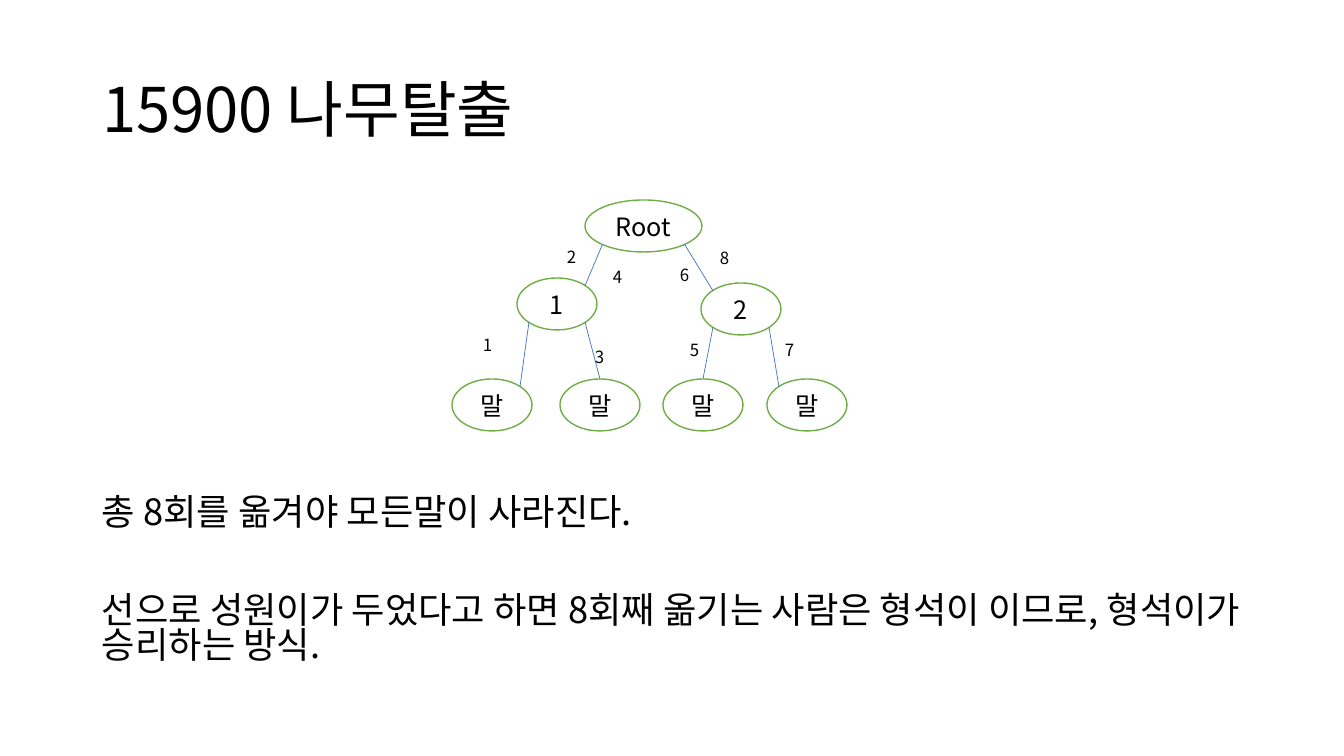
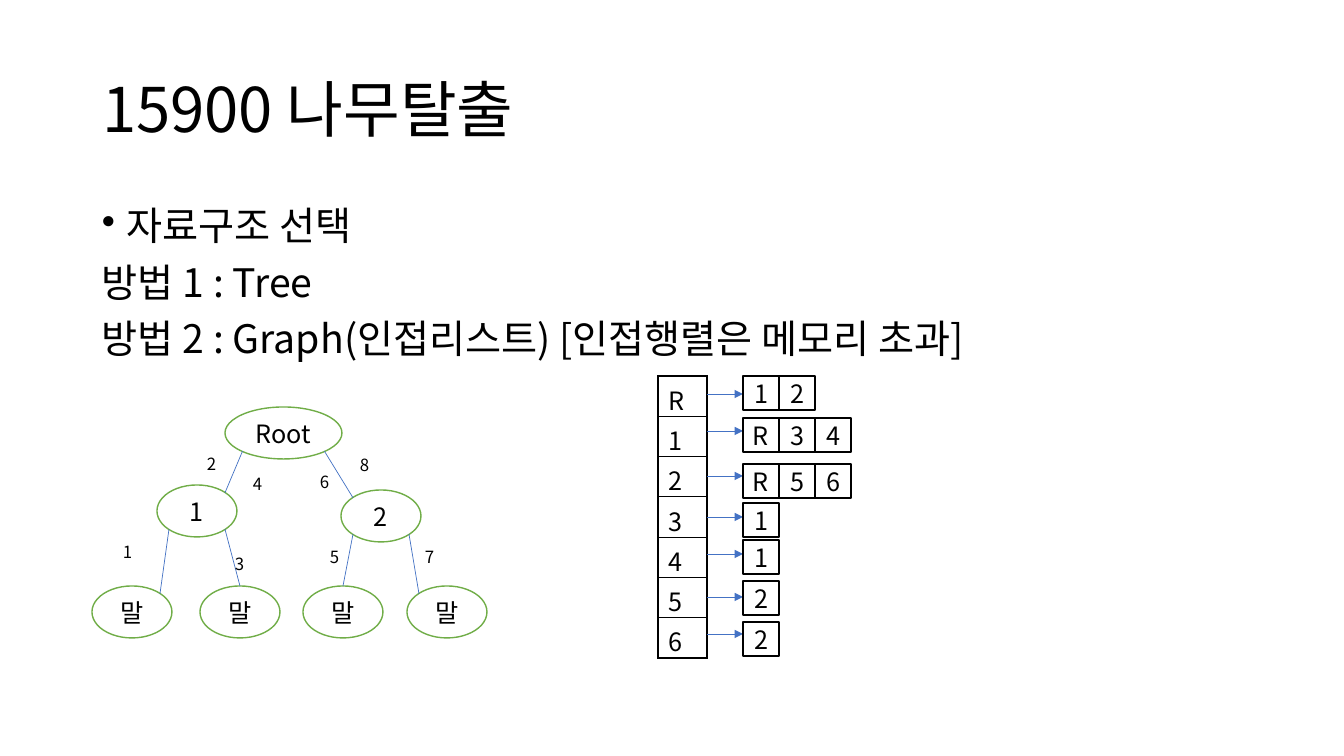
from dataclasses import dataclass

from lxml.etree import SubElement
from pptx import Presentation
from pptx.dml.color import RGBColor
from pptx.enum.shapes import MSO_CONNECTOR as Connector, MSO_SHAPE as Preset
from pptx.enum.text import MSO_ANCHOR as Anchor, PP_ALIGN as Align
from pptx.oxml.ns import qn
from pptx.util import Pt

EMU_PER_PIXEL = 914400 / 100.8


@dataclass(frozen=True)
class Theme:
    """Colours, font and type sizes shared by the slides."""
    font: str = "Noto Sans CJK KR"
    ink: str = "000000"
    paper: str = "FFFFFF"
    node_line: str = "70AD47"
    edge: str = "4472C4"
    title_size: float = 44
    list_size: float = 28
    note_size: float = 25.9
    node_size: float = 18
    label_size: float = 12
    outline: float = 1
    edge_width: float = 0.5


THEME = Theme()
TITLE = "15900 나무탈출"
TITLE_BOX = (92, 40, 1159, 146)

# Tree nodes: text, left, top, width
NODES = {
    "root": ("Root", 133, 0, 117),
    "one": ("1", 65, 78, 80),
    "two": ("2", 249, 83, 80),
    "horse_a": ("말", 0, 179, 80),
    "horse_b": ("말", 108, 179, 80),
    "horse_c": ("말", 211, 179, 80),
    "horse_d": ("말", 315, 179, 80),
}
NODE_HEIGHT = 52
# Points on an ellipse as fractions of its width and height
NEAR, FAR = 0.15, 0.85
ANCHORS = {"top": (0.5, 0), "top_left": (NEAR, NEAR), "top_right": (FAR, NEAR),
           "bottom_left": (NEAR, FAR), "bottom_right": (FAR, FAR)}
EDGES = [
    ("root", "bottom_left", "one", "top_right"),
    ("root", "bottom_right", "two", "top_left"),
    ("one", "bottom_left", "horse_a", "top_right"),
    ("one", "bottom_right", "horse_b", "top"),
    ("two", "bottom_right", "horse_d", "top_left"),
    ("two", "bottom_left", "horse_c", "top"),
]
# Places of the move numbers 1 to 8
MOVES = [(21, 130), (105, 42), (133, 142), (151, 62),
         (228, 135), (218, 60), (323, 135), (258, 43)]

# Adjacency list: vertex, neighbours, top of the neighbours, height of the arrow
ADJACENCY = [
    ("R", "12", 0, 18),
    ("1", "R34", 42, 55),
    ("2", "R56", 88, 100),
    ("3", "1", 127, 141),
    ("4", "1", 164, 178),
    ("5", "2", 205, 221),
    ("6", "2", 246, 258),
]


def px(*lengths):
    """Turn pixels into EMU."""
    return [round(length * EMU_PER_PIXEL) for length in lengths]


def color(value):
    """Return the colour for a hex value."""
    return RGBColor.from_string(value)


def write(paragraph, text, size, align=Align.LEFT, spacing=None, before=0):
    """Put styled text into a paragraph."""
    paragraph.text = text
    paragraph.alignment = align
    paragraph.line_spacing = spacing
    paragraph.space_before = Pt(before)
    font = paragraph.font
    font.name, font.size = THEME.font, Pt(size)
    font.color.rgb = color(THEME.ink)


def add_text(shapes, box, lines, size, spacing=None, gaps=(0,)):
    """Add a wrapping text box with one paragraph a line."""
    frame = shapes.add_textbox(*px(*box)).text_frame
    frame.word_wrap = True
    for index, (line, gap) in enumerate(zip(lines, gaps)):
        paragraph = frame.add_paragraph() if index else frame.paragraphs[0]
        write(paragraph, line, size, spacing=spacing, before=gap)
    return frame


def add_cell_shape(shapes, preset, box, text, line):
    """Add an outlined shape with centred text."""
    shape = shapes.add_shape(preset, *px(*box))
    shape.shadow.inherit = False
    shape.fill.solid()
    shape.fill.fore_color.rgb = color(THEME.paper)
    shape.line.color.rgb = color(line)
    shape.line.width = Pt(THEME.outline)
    frame = shape.text_frame
    frame.word_wrap = False
    frame.vertical_anchor = Anchor.MIDDLE
    write(frame.paragraphs[0], text, THEME.node_size, Align.CENTER)


def add_edge(shapes, start, end, arrow=False):
    """Add a thin line, with an arrowhead if asked."""
    connector = shapes.add_connector(Connector.STRAIGHT, *px(*start, *end))
    connector.line.color.rgb = color(THEME.edge)
    connector.line.width = Pt(THEME.edge_width)
    properties = connector._element.spPr
    if arrow:
        SubElement(properties.find(qn("a:ln")), qn("a:tailEnd"), type="triangle")
    SubElement(properties, qn("a:effectLst"))


def add_titled_slide(presentation):
    """Add a title-only slide with the shared title."""
    slide = presentation.slides.add_slide(presentation.slide_layouts[5])
    title = slide.shapes.title
    title.left, title.top, title.width, title.height = px(*TITLE_BOX)
    title.text_frame.vertical_anchor = Anchor.MIDDLE
    write(title.text_frame.paragraphs[0], TITLE, THEME.title_size, spacing=0.9)
    return slide


def add_tree(slide, left, top):
    """Draw the game tree as a group from its top left corner."""
    shapes = slide.shapes.add_group_shape().shapes

    def anchor(name, side):
        """Return the point at one side of a node."""
        _, x, y, width = NODES[name]
        across, down = ANCHORS[side]
        return left + x + across * width, top + y + down * NODE_HEIGHT

    for text, x, y, width in NODES.values():
        box = (left + x, top + y, width, NODE_HEIGHT)
        add_cell_shape(shapes, Preset.OVAL, box, text, THEME.node_line)
    for parent, parent_side, child, child_side in EDGES:
        add_edge(shapes, anchor(parent, parent_side), anchor(child, child_side))
    for number, (x, y) in enumerate(MOVES, start=1):
        add_text(shapes, (left + x, top + y, 29, 30), [str(number)], THEME.label_size)


def add_borders(cell):
    """Give a table cell a line on every side."""
    properties = cell._tc.get_or_add_tcPr()
    for index, side in enumerate(("lnL", "lnR", "lnT", "lnB")):
        line = properties.makeelement(qn(f"a:{side}"), {"w": str(Pt(THEME.outline))})
        fill = SubElement(line, qn("a:solidFill"))
        SubElement(fill, qn("a:srgbClr"), val=THEME.ink)
        properties.insert(index, line)


def add_vertex_table(slide, left, top, width, height):
    """Add the one-column table of vertices."""
    count = len(ADJACENCY)
    table = slide.shapes.add_table(count, 1, *px(left, top, width, height)).table
    table.first_row = table.horz_banding = False
    for row, (vertex, *_) in enumerate(ADJACENCY):
        cell = table.cell(row, 0)
        cell.fill.background()
        cell.margin_top, cell.margin_bottom = px(5, 0)
        write(cell.text_frame.paragraphs[0], vertex, THEME.node_size)
        add_borders(cell)


def add_adjacency_list(slide, left, top):
    """Draw the vertex table with an arrow to each row of neighbours."""
    table_width, arrow_length, box_width, box_height = 49, 36, 36, 34
    add_vertex_table(slide, left, top, table_width, 282)
    arrow_left = left + table_width
    boxes_left = arrow_left + arrow_length
    for _, neighbours, box_top, arrow_top in ADJACENCY:
        arrow_y = top + arrow_top
        add_edge(slide.shapes, (arrow_left, arrow_y), (boxes_left, arrow_y), arrow=True)
        for index, neighbour in enumerate(neighbours):
            box = (boxes_left + index * box_width, top + box_top, box_width, box_height)
            add_cell_shape(slide.shapes, Preset.RECTANGLE, box, neighbour, THEME.ink)


def add_bullet(paragraph):
    """Give a paragraph a hanging round bullet."""
    properties = paragraph._p.get_or_add_pPr()
    indent, = px(25)
    properties.set("marL", str(indent))
    properties.set("indent", str(-indent))
    bullet = properties.makeelement(qn("a:buChar"), {"char": "•"})
    properties.find(qn("a:defRPr")).addprevious(bullet)


def build_game_slide(presentation):
    """Build the slide that counts the moves."""
    slide = add_titled_slide(presentation)
    lines = ["총 8회를 옮겨야 모든말이 사라진다.",
             "선으로 성원이가 두었다고 하면 8회째 옮기는 사람은 형석이 이므로, "
             "형석이가 승리하는 방식."]
    add_text(slide.shapes, (92, 493, 1159, 188), lines, THEME.note_size,
             spacing=0.8, gaps=(10, 45))
    add_tree(slide, 452, 200)


def build_structure_slide(presentation):
    """Build the slide that compares the data structures."""
    slide = add_titled_slide(presentation)
    lines = ["자료구조 선택", "방법 1 : Tree",
             "방법 2 : Graph(인접리스트) [인접행렬은 메모리 초과]"]
    frame = add_text(slide.shapes, (92, 202, 1159, 480), lines, THEME.list_size,
                     spacing=0.9, gaps=(10, 10, 10))
    add_bullet(frame.paragraphs[0])
    add_tree(slide, 92, 407)
    add_adjacency_list(slide, 658, 376)


def main():
    """Build both slides and save them."""
    presentation = Presentation()
    presentation.slide_width, presentation.slide_height = px(1344, 756)
    build_game_slide(presentation)
    build_structure_slide(presentation)
    presentation.save("out.pptx")


main()
